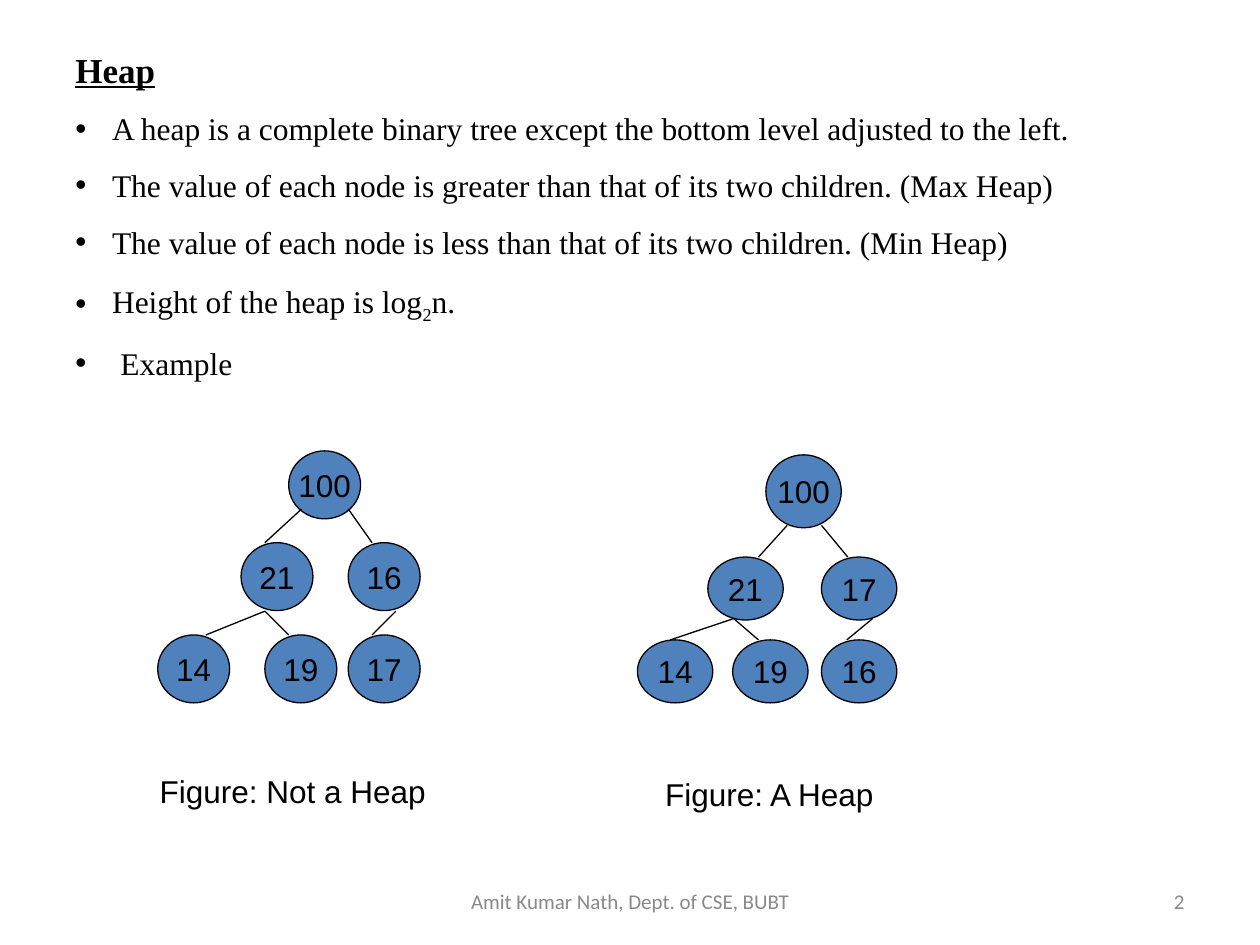
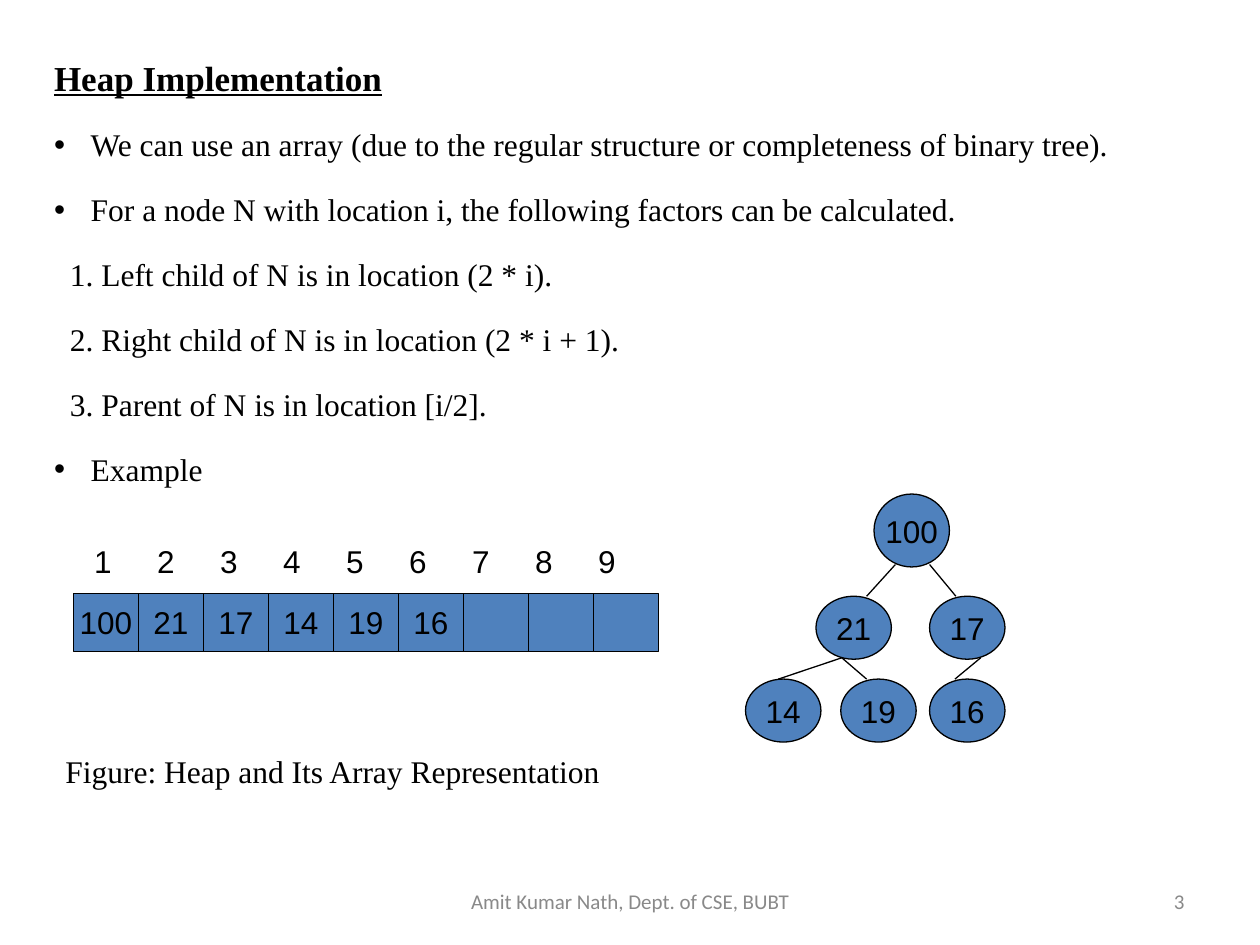
"""Build two slides about heaps and their array representation."""
import pptx
import pptx.dml.color
import pptx.enum.shapes
import pptx.enum.text
import pptx.oxml.ns
import pptx.util
from lxml import etree

Cm, Pt = pptx.util.Cm, pptx.util.Pt
ALIGN = pptx.enum.text.PP_ALIGN
ANCHOR = pptx.enum.text.MSO_ANCHOR
SHAPE = pptx.enum.shapes.MSO_SHAPE

BLACK, BLUE, GREY = "000000", "4F81BD", "898989"
HEADING = {"name": "Times New Roman", "size": Pt(20), "bold": True, "underline": True}
BODY = {"name": "Times New Roman", "size": Pt(18)}
LABEL = {"name": "Arial", "size": Pt(18)}
FOOTER = {"name": "Calibri", "size": Pt(12)}
FOOTER_TEXT = "Amit Kumar Nath, Dept. of CSE, BUBT"
BULLET_INDENT = 0.74

HEAP = {
    "root_size": (1.52, 1.47),
    "node_size": (1.52, 1.27),
    "places": [(2.59, 0), (1.42, 2.06), (3.71, 2.06), (0, 3.73), (1.92, 3.73), (3.71, 3.73)],
    "edges": [(3.02, 1.42, 2.44, 2.06), (3.71, 1.42, 4.24, 2.06), (1.94, 3.3, 0.66, 3.73),
              (1.94, 3.3, 2.44, 3.73), (4.74, 3.3, 4.22, 3.73)],
}
NOT_HEAP = {
    "root_size": (1.45, 1.37),
    "node_size": (1.45, 1.37),
    "places": [(2.64, 0), (1.68, 1.85), (3.84, 1.85), (0, 3.71), (2.16, 3.71), (3.84, 3.71)],
    "edges": [(2.9, 1.17, 2.16, 1.85), (3.84, 1.17, 4.32, 1.85), (2.16, 3.23, 0.97, 3.71),
              (2.16, 3.23, 2.64, 3.71), (4.8, 3.23, 4.32, 3.71)],
}
HEAP_VALUES = [100, 21, 17, 14, 19, 16]
NOT_HEAP_VALUES = [100, 21, 16, 14, 19, 17]


def colour(code):
    """Return the colour for a hex string."""
    return pptx.dml.color.RGBColor.from_string(code)


def assign(target, values):
    """Set each named attribute of the target."""
    for name, value in values.items():
        setattr(target, name, value)


def add_span(para, text, style, code=BLACK, baseline=0):
    """Add a formatted run, raised or lowered by a baseline percentage."""
    span = para.add_run()
    span.text = text
    assign(span.font, style)
    span.font.color.rgb = colour(code)
    if baseline:
        span._r.get_or_add_rPr().set("baseline", str(baseline * 1000))


def add_child(parent, tag, **attributes):
    """Append a DrawingML element and return it."""
    child = etree.SubElement(parent, pptx.oxml.ns.qn(tag))
    for name, value in attributes.items():
        child.set(name, str(value))
    return child


def indent(para, margin, bullet=False):
    """Indent a paragraph, with a hanging bullet if asked."""
    properties = para._p.get_or_add_pPr()
    properties.set("marL", str(Cm(margin)))
    properties.set("indent", str(-Cm(margin) if bullet else 0))
    if bullet:
        add_child(properties, "a:buFont", typeface="Arial")
        add_child(properties, "a:buChar", char="•")


def add_box(page, left, top, width, height, anchor=ANCHOR.TOP):
    """Add an empty wrapping text box and return it."""
    box = page.shapes.add_textbox(Cm(left), Cm(top), Cm(width), Cm(height))
    assign(box.text_frame, {"word_wrap": True, "vertical_anchor": anchor})
    return box


def add_text(page, text, place, style, code=BLACK, align=ALIGN.LEFT, anchor=ANCHOR.TOP):
    """Add a one-paragraph text box."""
    para = add_box(page, *place, anchor).text_frame.paragraphs[0]
    para.alignment = align
    add_span(para, text, style, code)
    return para


def add_outline(page, place, title, items, line_spacing, space_before):
    """Add a heading above items given as (spans, margin, bullet)."""
    frame = add_box(page, *place).text_frame
    para = frame.paragraphs[0]
    para.line_spacing = line_spacing
    add_span(para, title, HEADING)
    for spans, margin, bullet in items:
        para = frame.add_paragraph()
        indent(para, margin, bullet)
        assign(para, {"line_spacing": line_spacing, "space_before": Pt(space_before)})
        for text, baseline in spans:
            add_span(para, text, BODY, baseline=baseline)


def item(text, margin=BULLET_INDENT, bullet=True):
    """Describe an outline item made of one plain span."""
    return [(text, 0)], margin, bullet


def add_cell(page, kind, left, top, size, value):
    """Add a blue outlined shape holding a value."""
    shape = page.shapes.add_shape(kind, Cm(left), Cm(top), *map(Cm, size))
    shape.shadow.inherit = False
    shape.fill.solid()
    shape.fill.fore_color.rgb = colour(BLUE)
    shape.line.color.rgb = colour(BLACK)
    shape.line.width = Pt(0.75)
    if value is not None:
        frame = shape.text_frame
        assign(frame, {"word_wrap": False, "vertical_anchor": ANCHOR.MIDDLE})
        frame.paragraphs[0].alignment = ALIGN.CENTER
        add_span(frame.paragraphs[0], str(value), LABEL)


def add_edge(page, start_x, start_y, end_x, end_y):
    """Add a thin black line between two points."""
    edge = page.shapes.add_connector(
        pptx.enum.shapes.MSO_CONNECTOR.STRAIGHT, *map(Cm, (start_x, start_y, end_x, end_y)))
    edge.line.color.rgb = colour(BLACK)
    edge.line.width = Pt(0.75)
    add_child(edge._element.spPr, "a:effectLst")


def add_tree(page, left, top, layout, values):
    """Add a binary tree of values with its corner at left, top."""
    for index, ((x, y), value) in enumerate(zip(layout["places"], values)):
        size = layout["node_size"] if index else layout["root_size"]
        add_cell(page, SHAPE.OVAL, left + x, top + y, size, value)
    for x1, y1, x2, y2 in layout["edges"]:
        add_edge(page, left + x1, top + y1, left + x2, top + y2)


def add_array(page, left, top, values, length):
    """Add a row of array cells under their location numbers."""
    numbers = "\t".join(str(number) for number in range(1, length + 1))
    para = add_text(page, numbers, (left, 10.8, 13.1, 1.02), LABEL)
    indent(para, 0.17)
    tabs = add_child(para._p.get_or_add_pPr(), "a:tabLst")
    for stop in (1.58, 3, 4.22, 5.63, 6.86, 8.09, 9.33, 10.57):
        add_child(tabs, "a:tab", pos=Cm(stop), algn="l")
    width = 1.31
    for index in range(length):
        value = values[index] if index < len(values) else None
        add_cell(page, SHAPE.RECTANGLE, left + index * width, top, (width, 1.17), value)


def add_page(deck, number):
    """Add a blank slide with the shared footer and its number."""
    page = deck.slides.add_slide(deck.slide_layouts[6])
    for text, left, width, align in ((FOOTER_TEXT, 8.69, 8.03, ALIGN.CENTER),
                                     (str(number), 18.21, 5.92, ALIGN.RIGHT)):
        add_text(page, text, (left, 17.65, width, 1.02), FOOTER, GREY, align, ANCHOR.MIDDLE)
    return page


def build_heap(deck):
    """Build the slide that defines a heap."""
    page = add_page(deck, 2)
    add_outline(page, (1.27, 0.43, 23.5, 10.08), "Heap", [
        item("A heap is a complete binary tree except the bottom level adjusted to the left."),
        item("The value of each node is greater than that of its two children. (Max Heap)"),
        item("The value of each node is less than that of its two children. (Min Heap)"),
        ([("Height of the heap is log", 0), ("2", -25), ("n.", 0)], BULLET_INDENT, True),
        item("Example", 0.91),
    ], 1.5, 0)
    add_tree(page, 3.18, 9.09, NOT_HEAP, NOT_HEAP_VALUES)
    add_tree(page, 12.85, 9.17, HEAP, HEAP_VALUES)
    add_text(page, "Figure: Not a Heap", (2.97, 15.44, 6.99, 1.02), LABEL)
    add_text(page, "Figure: A Heap", (13.16, 15.49, 6.99, 1.02), LABEL)


def build_implementation(deck):
    """Build the slide that stores a heap in an array."""
    page = add_page(deck, 3)
    add_outline(page, (0.84, 0.84, 24.56, 11.76), "Heap Implementation", [
        item("We can use an array (due to the regular structure or completeness of binary tree)."),
        item("For a node N with location i, the following factors can be calculated."),
        item("1. Left child of N is in location (2 * i).", 0.32, False),
        item("2. Right child of N is in location (2 * i + 1).", 0.32, False),
        item("3. Parent of N is in location [i/2].", 0.32, False),
        item("Example"),
    ], 1.2, 11.2)
    add_array(page, 1.48, 11.96, HEAP_VALUES, 9)
    add_tree(page, 15.03, 9.96, HEAP, HEAP_VALUES)
    add_text(page, "Figure: Heap and Its Array Representation", (1.07, 15.04, 12.5, 1.02), BODY)


def main():
    """Build and save the deck."""
    deck = pptx.Presentation()
    assign(deck, {"slide_width": Cm(25.4), "slide_height": Cm(19.05)})
    build_heap(deck)
    build_implementation(deck)
    deck.save("out.pptx")


if __name__ == "__main__":
    main()
